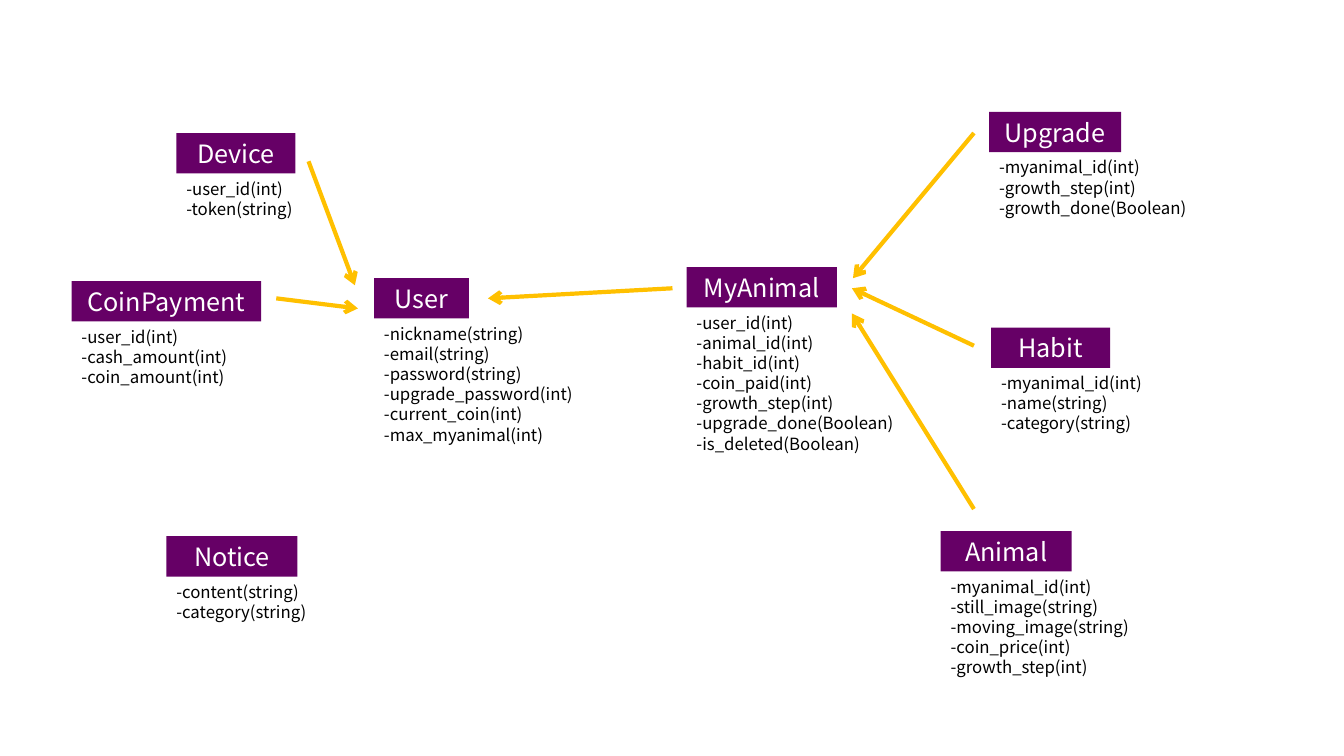
"""Build a slide showing the entities of a habit game and how they reference each other."""
import pptx
import pptx.util
import pptx.dml.color
import pptx.enum.shapes
import pptx.enum.text
import pptx.oxml.ns
import lxml.etree

Inches, Pt = pptx.util.Inches, pptx.util.Pt
RGBColor = pptx.dml.color.RGBColor
PURPLE = RGBColor(0x66, 0x00, 0x66)
GOLD = RGBColor(0xFF, 0xC0, 0x00)
WHITE = RGBColor(0xFF, 0xFF, 0xFF)
BLACK = RGBColor(0x00, 0x00, 0x00)
FONT = "Noto Sans CJK KR"
HEADER_HEIGHT = 0.4
FIELD_PITCH = 0.2
FRAME_PADDING = 0.1

TITLE_FORMAT = {"name": FONT, "size": Pt(18)}
FIELD_FORMAT = {"name": FONT, "size": Pt(12)}

ENTITIES = [
    ("User", 3.71, 2.76, 0.94, 2.39,
     ["nickname(string)", "email(string)", "password(string)",
      "upgrade_password(int)", "current_coin(int)", "max_myanimal(int)"]),
    ("Device", 1.75, 1.32, 1.18, 1.3, ["user_id(int)", "token(string)"]),
    ("CoinPayment", 0.71, 2.79, 1.88, 2.11,
     ["user_id(int)", "cash_amount(int)", "coin_amount(int)"]),
    ("Notice", 1.65, 5.32, 1.3, 1.88, ["content(string)", "category(string)"]),
    ("MyAnimal", 6.81, 2.65, 1.49, 2.3,
     ["user_id(int)", "animal_id(int)", "habit_id(int)", "coin_paid(int)",
      "growth_step(int)", "upgrade_done(Boolean)", "is_deleted(Boolean)"]),
    ("Upgrade", 9.81, 1.11, 1.31, 2.09,
     ["myanimal_id(int)", "growth_step(int)", "growth_done(Boolean)"]),
    ("Habit", 9.83, 3.25, 1.18, 1.62,
     ["myanimal_id(int)", "name(string)", "category(string)"]),
    ("Animal", 9.33, 5.27, 1.3, 2.11,
     ["myanimal_id(int)", "still_image(string)", "moving_image(string)",
      "coin_price(int)", "growth_step(int)"]),
]

REFERENCES = [
    (3.06, 1.6, 3.52, 2.83),
    (2.74, 2.96, 3.55, 3.06),
    (6.67, 2.86, 4.84, 2.96),
    (9.66, 1.32, 8.46, 2.76),
    (9.66, 3.43, 8.45, 2.86),
    (9.66, 5.05, 8.45, 3.11),
]


def write_line(paragraph, text, text_format, color):
    run = paragraph.add_run()
    run.text = text
    for attribute, value in text_format.items():
        setattr(run.font, attribute, value)
    run.font.color.rgb = color


deck = pptx.Presentation()
deck.slide_width, deck.slide_height = Inches(13.33), Inches(7.5)
slide = deck.slides.add_slide(deck.slide_layouts[6])

for title, left, top, header_width, fields_width, fields in ENTITIES:
    entity = slide.shapes.add_group_shape()
    header = entity.shapes.add_shape(
        pptx.enum.shapes.MSO_SHAPE.RECTANGLE,
        Inches(left), Inches(top), Inches(header_width), Inches(HEADER_HEIGHT))
    header.shadow.inherit = False
    header.fill.solid()
    header.fill.fore_color.rgb = PURPLE
    header.line.fill.background()
    header.text_frame.word_wrap = False
    title_line = header.text_frame.paragraphs[0]
    title_line.alignment = pptx.enum.text.PP_ALIGN.CENTER
    write_line(title_line, title, TITLE_FORMAT, WHITE)

    field_list = entity.shapes.add_textbox(
        Inches(left), Inches(top + HEADER_HEIGHT), Inches(fields_width),
        Inches(FRAME_PADDING + FIELD_PITCH * len(fields)))
    field_list.text_frame.word_wrap = True
    for index, field in enumerate(fields):
        paragraph = (field_list.text_frame.add_paragraph() if index
                     else field_list.text_frame.paragraphs[0])
        write_line(paragraph, f"-{field}", FIELD_FORMAT, BLACK)

for start_x, start_y, end_x, end_y in REFERENCES:
    reference = slide.shapes.add_connector(
        pptx.enum.shapes.MSO_CONNECTOR.STRAIGHT,
        Inches(start_x), Inches(start_y), Inches(end_x), Inches(end_y))
    reference.line.color.rgb = GOLD
    reference.line.width = Pt(3)
    outline = reference.line._get_or_add_ln()
    lxml.etree.SubElement(outline, pptx.oxml.ns.qn("a:tailEnd"), type="arrow")
    lxml.etree.SubElement(reference._element.spPr, pptx.oxml.ns.qn("a:effectLst"))

deck.save("out.pptx")
